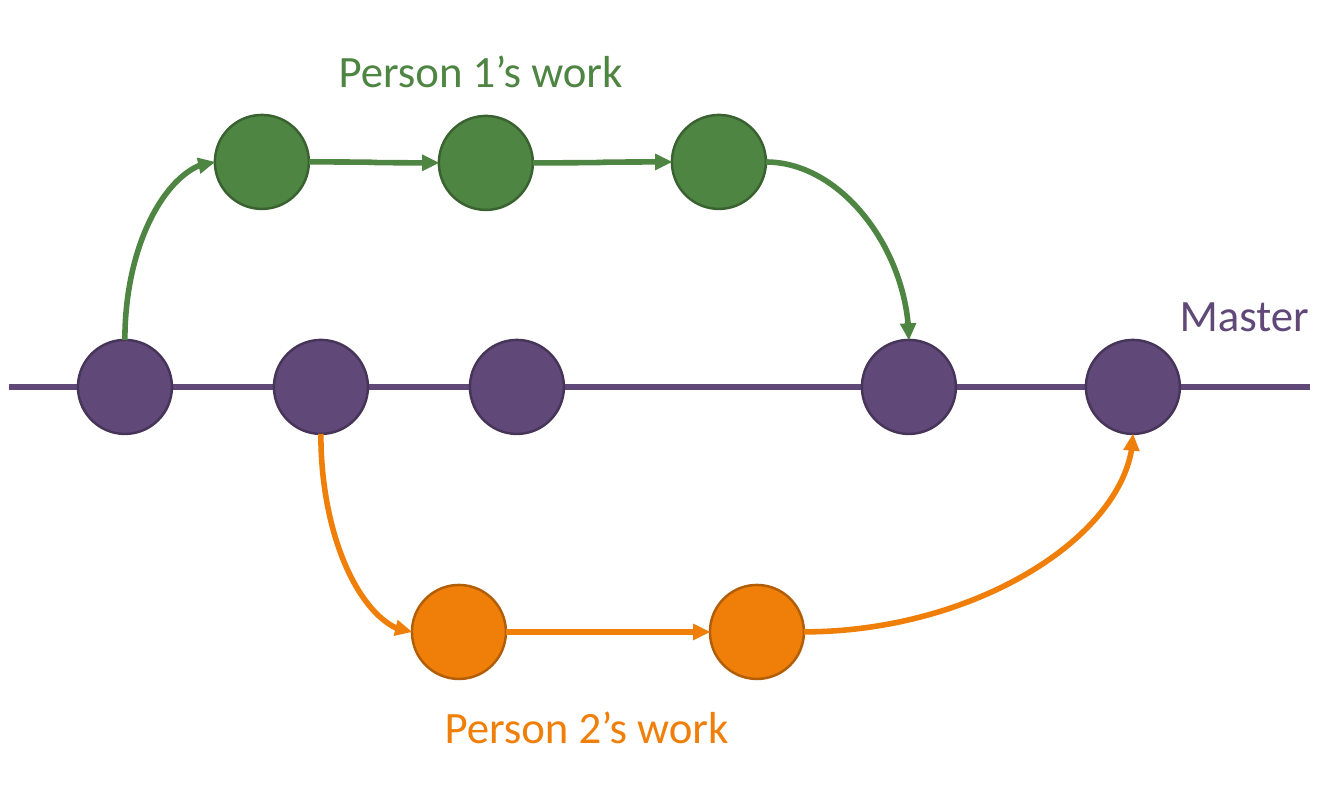
from lxml.etree import SubElement
from pptx import Presentation
from pptx.dml.color import RGBColor
from pptx.enum.shapes import MSO_CONNECTOR as LINK, MSO_SHAPE as SHAPE
from pptx.oxml.ns import qn
from pptx.util import Pt

EMU_PER_PX = 914400 / 179.2
DOT = 94
RADIUS = DOT // 2
PURPLE, GREEN, ORANGE = "604878", "4E8542", "F07F09"
TOP, LEFT, BOTTOM, RIGHT = 0, 2, 4, 6  # connection sites of an ellipse
SITE_OFFSET = {TOP: (0, -RADIUS), LEFT: (-RADIUS, 0),
               BOTTOM: (0, RADIUS), RIGHT: (RADIUS, 0)}

prs = Presentation()
px = lambda *lengths: [round(n * EMU_PER_PX) for n in lengths]
rgb = RGBColor.from_string
prs.slide_width, prs.slide_height = px(1344, 806)
slide = prs.slides.add_slide(prs.slide_layouts[6])
shapes = slide.shapes


def add_line(kind, start, end, color):
    """Draw a shadowless 2.25 pt connector between two points."""
    line = shapes.add_connector(kind, *px(*start, *end))
    line.line.color.rgb = rgb(color)
    line.line.width = Pt(2.25)
    SubElement(line._element.spPr, qn("a:effectLst"))
    return line


def add_label(text, left, top, width, height=72, size=18, color=PURPLE, font="Calibri"):
    """Place one line of text."""
    box = shapes.add_textbox(*px(left, top, width, height))
    box.text_frame.word_wrap = True
    run = box.text_frame.paragraphs[0].add_run()
    run.text = text
    run.font.size, run.font.name = Pt(size), font
    run.font.color.rgb = rgb(color)


add_line(LINK.STRAIGHT, (9, 387), (1310, 387), PURPLE)

# Commits of each branch, by centre
branches = {
    "master": (PURPLE, "473559", [(x, 387) for x in (125, 321, 517, 909, 1133)]),
    "person 1": (GREEN, "3A6231", [(262, 162), (486, 163), (719, 162)]),
    "person 2": (ORANGE, "B25E07", [(459, 632), (757, 632)]),
}
commits = {}
for branch, (fill, outline, centres) in branches.items():
    for number, (x, y) in enumerate(centres):
        dot = shapes.add_shape(SHAPE.OVAL, *px(x - RADIUS, y - RADIUS, DOT, DOT))
        dot.shadow.inherit = False
        dot.fill.solid()
        dot.fill.fore_color.rgb = rgb(fill)
        dot.line.color.rgb = rgb(outline)
        dot.line.width = Pt(1)
        commits[branch, number] = dot, x, y

# Each bend leaves its first commit sideways; the arrowhead is at the named end
bend, run_on = "curvedConnector2", "curvedConnector3"
arrows = [
    (("person 1", 0), LEFT, ("master", 0), TOP, bend, "headEnd", GREEN),
    (("person 1", 0), RIGHT, ("person 1", 1), LEFT, run_on, "tailEnd", GREEN),
    (("person 1", 1), RIGHT, ("person 1", 2), LEFT, run_on, "tailEnd", GREEN),
    (("person 1", 2), RIGHT, ("master", 3), TOP, bend, "tailEnd", GREEN),
    (("person 2", 0), LEFT, ("master", 1), BOTTOM, bend, "headEnd", ORANGE),
    (("person 2", 0), RIGHT, ("person 2", 1), LEFT, run_on, "tailEnd", ORANGE),
    (("person 2", 1), RIGHT, ("master", 4), BOTTOM, bend, "tailEnd", ORANGE),
]
for first, first_site, last, last_site, curve, arrow_end, color in arrows:
    ends = []
    for commit, site in ((first, first_site), (last, last_site)):
        dot, x, y = commits[commit]
        dx, dy = SITE_OFFSET[site]
        ends.append((dot, site, (x + dx, y + dy)))
    arrow = add_line(LINK.CURVE, ends[0][2], ends[1][2], color)
    arrow._element.spPr.find(qn("a:prstGeom")).set("prst", curve)
    SubElement(arrow.line._get_or_add_ln(), qn("a:" + arrow_end), type="triangle")
    glue = arrow._element.find(".//" + qn("p:cNvCxnSpPr"))
    for tag, (dot, site, _) in zip(("a:stCxn", "a:endCxn"), ends):
        SubElement(glue, qn(tag), id=str(dot.shape_id), idx=str(site))

add_label("Person 1’s work", 321, 34, 332, color=GREEN)
add_label("Person 2’s work", 427, 690, 332, color=ORANGE)
add_label("Master", 1162, 278, 167)

prs.save("out.pptx")
